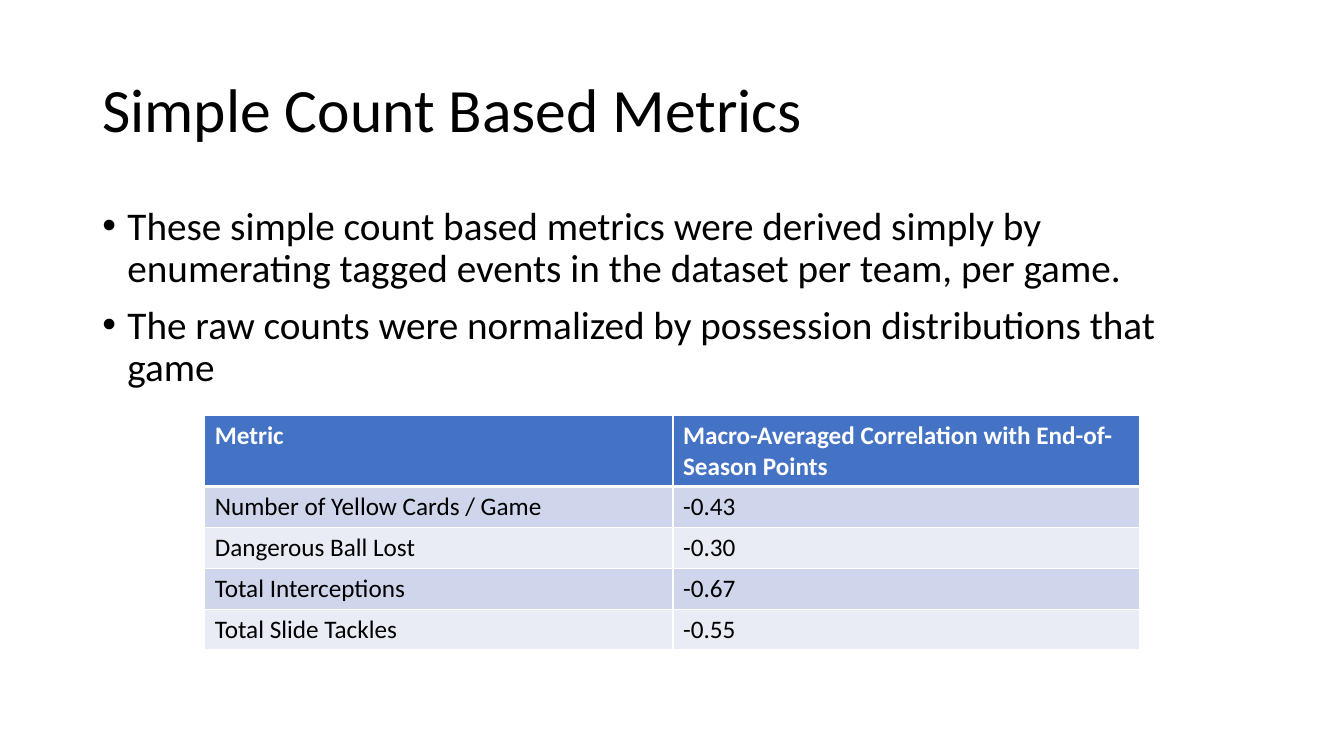
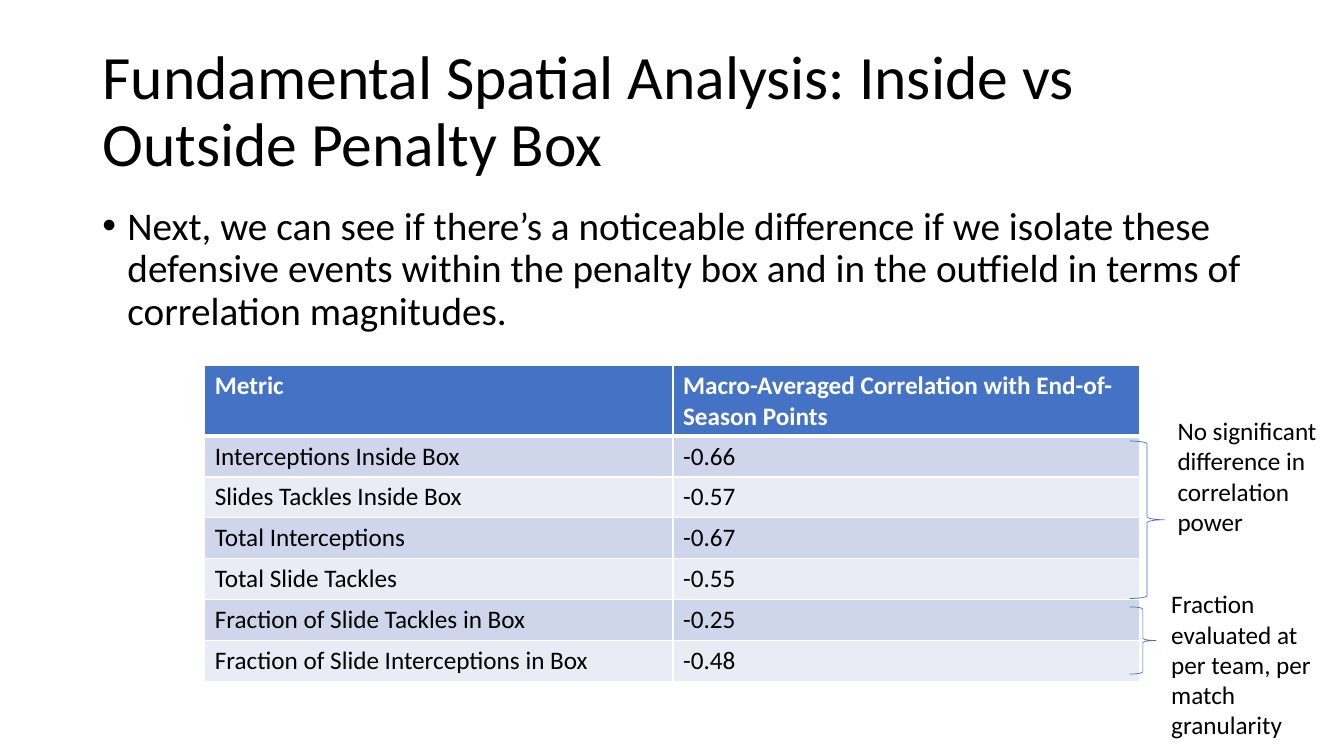
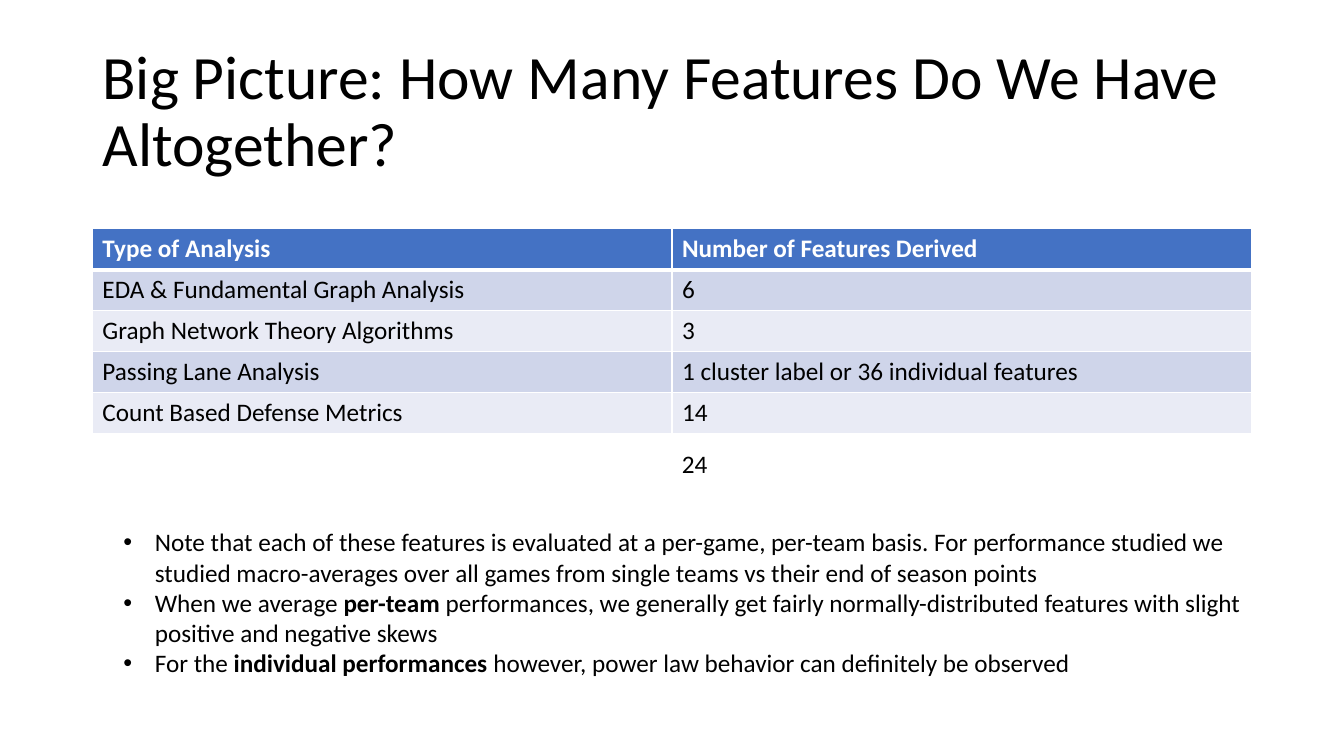
import pptx
import pptx.util
import pptx.dml.color
import pptx.enum.shapes
import pptx.enum.text
from lxml import etree

PX = 9525
FONT = "Calibri"
COLORS = {
    "text": "000000",
    "header": "4472C4",
    "header_text": "FFFFFF",
    "odd_row": "CFD5EA",
    "even_row": "E9EBF5",
    "border": "FFFFFF",
    "brace": "4472C4",
}
TITLE_BOX = (88, 38, 1104, 139)
BODY_BOX = (88, 192, 1104, 457)
ROW_HEIGHT = 39
METRIC_HEADER = ("Metric", "Macro-Averaged Correlation with End-of-Season Points")


def px(length):
    """Turn px into EMU."""
    return pptx.util.Emu(length * PX)


def rgb(name):
    """Return a named colour."""
    return pptx.dml.color.RGBColor.from_string(COLORS[name])


def style_runs(paragraph, size, color="text", bold=False):
    """Format every run of a paragraph."""
    for run in paragraph.runs:
        run.font.name = FONT
        run.font.size = pptx.util.Pt(size)
        run.font.bold = bold
        run.font.color.rgb = rgb(color)


def add_bullet(paragraph, indent):
    """Give a paragraph a round bullet with a hanging indent in px."""
    properties = paragraph._p.get_or_add_pPr()
    properties.set("marL", str(px(indent)))
    properties.set("indent", str(-px(indent)))
    bullet_font = etree.SubElement(properties, pptx.oxml.ns.qn("a:buFont"))
    bullet_font.set("typeface", "Arial")
    bullet = etree.SubElement(properties, pptx.oxml.ns.qn("a:buChar"))
    bullet.set("char", "•")


def add_text(slide, box, texts, size=18, indent=0, line_spacing=None, space_before=0):
    """Place paragraphs in a box, with words between bars in bold."""
    frame = slide.shapes.add_textbox(*map(px, box)).text_frame
    frame.word_wrap = True
    frame.text = "\n".join(text.split("|")[0] for text in texts)
    for paragraph, text in zip(frame.paragraphs, texts):
        for piece in text.split("|")[1:]:
            paragraph.add_run().text = piece
        style_runs(paragraph, size)
        for emphasis in paragraph.runs[1::2]:
            emphasis.font.bold = True
        paragraph.space_before = pptx.util.Pt(space_before)
        if line_spacing:
            paragraph.line_spacing = line_spacing
        if indent:
            add_bullet(paragraph, indent)


def add_titled_slide(deck, heading):
    """Add a title-only slide with the shared title style."""
    slide = deck.slides.add_slide(deck.slide_layouts[5])
    title = slide.shapes.title
    title.left, title.top, title.width, title.height = map(px, TITLE_BOX)
    frame = title.text_frame
    frame.text = heading
    frame.word_wrap = True
    frame.auto_size = pptx.enum.text.MSO_AUTO_SIZE.NONE
    frame.vertical_anchor = pptx.enum.text.MSO_ANCHOR.MIDDLE
    paragraph = frame.paragraphs[0]
    paragraph.alignment = pptx.enum.text.PP_ALIGN.LEFT
    paragraph.line_spacing = 0.9
    style_runs(paragraph, 44)
    return slide


def add_borders(cell, top, bottom):
    """Draw the four borders of a cell, widths in points."""
    properties = cell._tc.get_or_add_tcPr()
    for side, width in (("L", 1), ("R", 1), ("T", top), ("B", bottom)):
        line = etree.SubElement(properties, pptx.oxml.ns.qn("a:ln" + side))
        line.set("w", str(pptx.util.Pt(width)))
        fill = etree.SubElement(line, pptx.oxml.ns.qn("a:solidFill"))
        color = etree.SubElement(fill, pptx.oxml.ns.qn("a:srgbClr"))
        color.set("val", COLORS["border"])


def add_banded_table(slide, left, top, widths, header_height, rows):
    """Place a table with a header row and alternating bands."""
    height = header_height + ROW_HEIGHT * (len(rows) - 1)
    box = (left, top, sum(widths), height)
    table = slide.shapes.add_table(len(rows), len(widths), *map(px, box)).table
    for column, width in zip(table.columns, widths):
        column.width = px(width)
    for index, values in enumerate(rows):
        is_header = index == 0
        table.rows[index].height = px(header_height if is_header else ROW_HEIGHT)
        band = "header" if is_header else ("even_row", "odd_row")[index % 2]
        for cell, value in zip(table.rows[index].cells, values):
            cell.text = value
            color = "header_text" if is_header else "text"
            style_runs(cell.text_frame.paragraphs[0], 18, color, is_header)
            add_borders(cell, 3 if index == 1 else 1, 3 if is_header else 1)
            cell.fill.solid()
            cell.fill.fore_color.rgb = rgb(band)


def add_brace(slide, box):
    """Place a thin right brace that groups table rows."""
    kind = pptx.enum.shapes.MSO_SHAPE.RIGHT_BRACE
    brace = slide.shapes.add_shape(kind, *map(px, box))
    brace.shadow.inherit = False
    brace.fill.background()
    brace.line.color.rgb = rgb("brace")
    brace.line.width = pptx.util.Pt(0.5)


def add_metric_slide(deck, heading, points, table_top, metrics):
    """Add a slide with large bullets above a table of correlations."""
    slide = add_titled_slide(deck, heading)
    add_text(slide, BODY_BOX, points, 28, 24, 0.9, 10)
    add_banded_table(slide, 195, table_top, (446, 444), 67, [METRIC_HEADER, *metrics])
    return slide


def add_feature_slide(deck, heading, rows, total, remarks):
    """Add a slide with a full-width table, its total and remarks."""
    slide = add_titled_slide(deck, heading)
    left, width = TITLE_BOX[0], TITLE_BOX[2]
    add_banded_table(slide, left, 218, (width // 2, width // 2), ROW_HEIGHT, rows)
    add_text(slide, (left + width // 2, 422, 51, 38), [total])
    add_text(slide, (left + 20, 497, width, 156), remarks, indent=30)


def main():
    """Build and save the deck."""
    deck = pptx.Presentation()
    deck.slide_width, deck.slide_height = px(1280), px(720)

    add_metric_slide(
        deck,
        "Simple Count Based Metrics",
        [
            "These simple count based metrics were derived simply by enumerating "
            "tagged events in the dataset per team, per game.",
            "The raw counts were normalized by possession distributions that game",
        ],
        396,
        [
            ("Number of Yellow Cards / Game", "-0.43"),
            ("Dangerous Ball Lost", "-0.30"),
            ("Total Interceptions", "-0.67"),
            ("Total Slide Tackles", "-0.55"),
        ],
    )

    spatial = add_metric_slide(
        deck,
        "Fundamental Spatial Analysis: Inside vs Outside Penalty Box",
        [
            "Next, we can see if there’s a noticeable difference if we isolate these "
            "defensive events within the penalty box and in the outfield in terms of "
            "correlation magnitudes."
        ],
        348,
        [
            ("Interceptions Inside Box", "-0.66"),
            ("Slides Tackles Inside Box", "-0.57"),
            ("Total Interceptions", "-0.67"),
            ("Total Slide Tackles", "-0.55"),
            ("Fraction of Slide Tackles in Box", "-0.25"),
            ("Fraction of Slide Interceptions in Box", "-0.48"),
        ],
    )
    for brace_box, label_box, label in (
        ((1076, 420, 33, 150), (1112, 391, 160, 126),
         "No significant difference in correlation power"),
        ((1076, 578, 25, 64), (1106, 556, 172, 156),
         "Fraction evaluated at per team, per match granularity"),
    ):
        add_brace(spatial, brace_box)
        add_text(spatial, label_box, [label])

    add_feature_slide(
        deck,
        "Big Picture: How Many Features Do We Have Altogether?",
        [
            ("Type of Analysis", "Number of Features Derived"),
            ("EDA & Fundamental Graph Analysis", "6"),
            ("Graph Network Theory Algorithms", "3"),
            ("Passing Lane Analysis", "1 cluster label or 36 individual features"),
            ("Count Based Defense Metrics", "14"),
        ],
        "24",
        [
            "Note that each of these features is evaluated at a per-game, per-team "
            "basis. For performance studied we studied macro-averages over all games "
            "from single teams vs their end of season points",
            "When we average |per-team| performances, we generally get fairly "
            "normally-distributed features with slight positive and negative skews",
            "For the |individual performances |however, power law behavior can "
            "definitely be observed",
        ],
    )
    deck.save("out.pptx")


if __name__ == "__main__":
    main()
